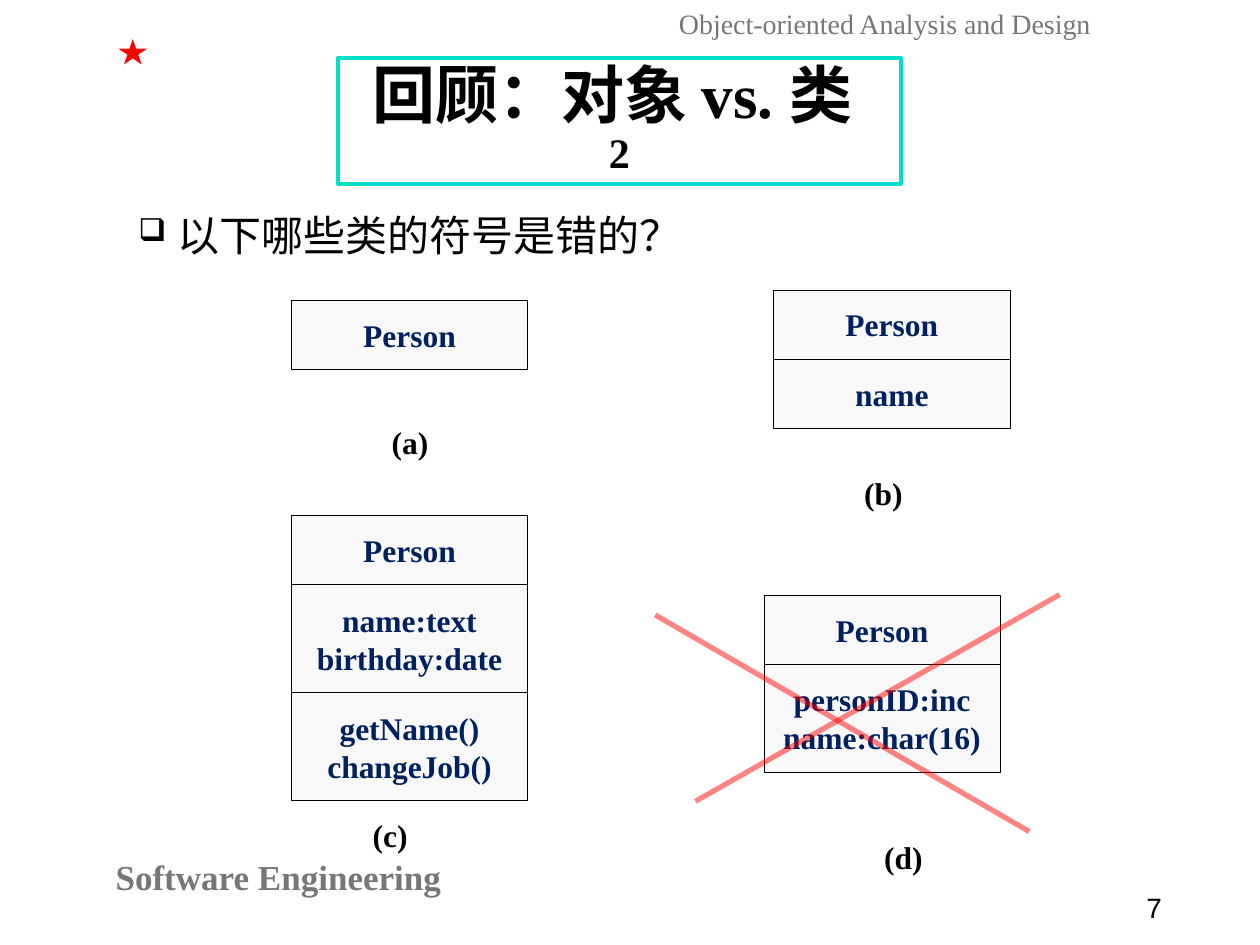
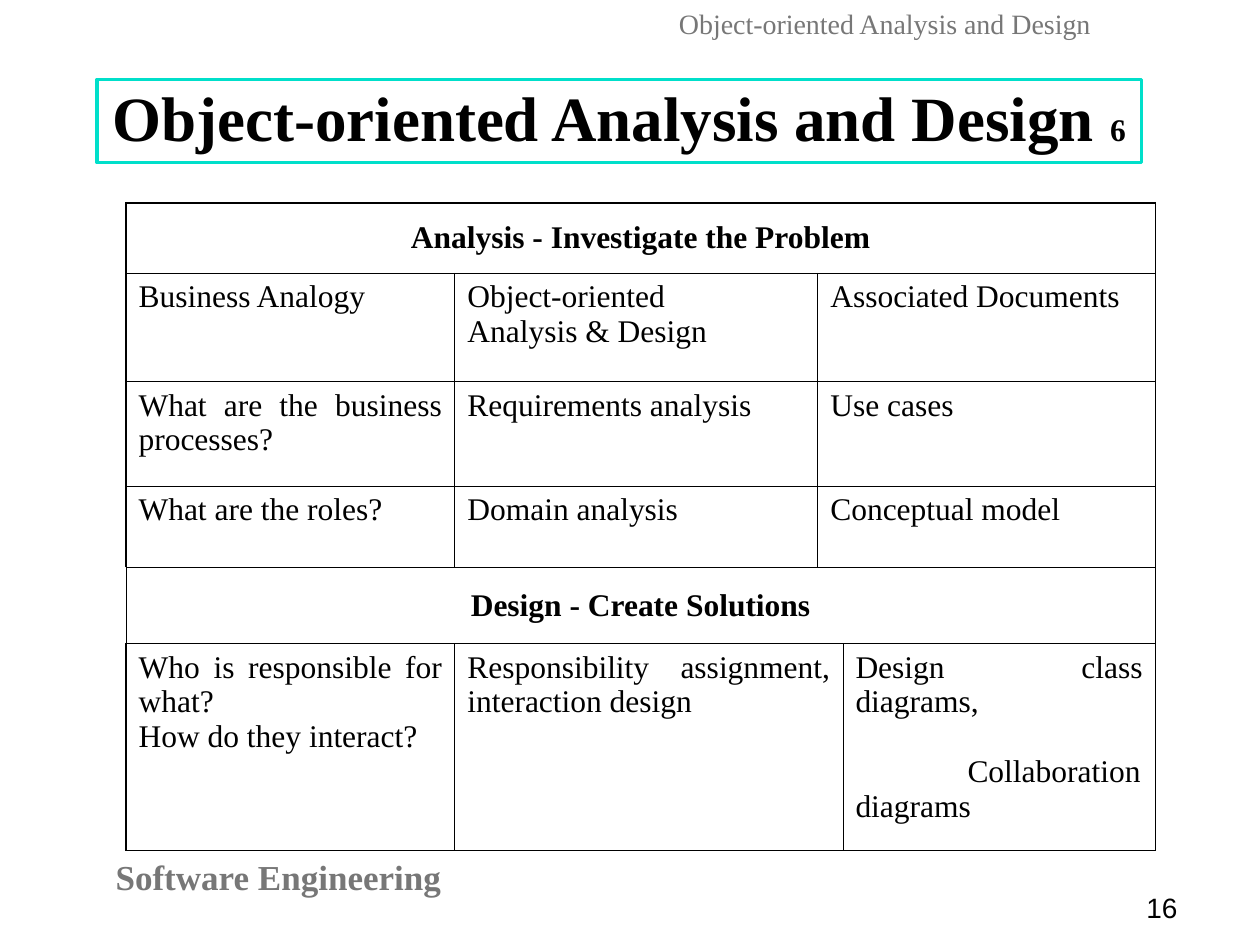
"""Builds two lecture slides on UML class symbols and object-oriented analysis and design."""
from lxml import etree
from pptx import Presentation
from pptx.dml.color import RGBColor
from pptx.enum.shapes import MSO_CONNECTOR, MSO_SHAPE
from pptx.enum.text import MSO_ANCHOR, MSO_AUTO_SIZE, PP_ALIGN
from pptx.oxml.ns import qn
from pptx.util import Pt

LEFT, CENTER, JUSTIFY = PP_ALIGN.LEFT, PP_ALIGN.CENTER, PP_ALIGN.JUSTIFY
TOP, MIDDLE = MSO_ANCHOR.TOP, MSO_ANCHOR.MIDDLE
NO_AUTOFIT = MSO_AUTO_SIZE.NONE
RECTANGLE = MSO_SHAPE.RECTANGLE
STRAIGHT = MSO_CONNECTOR.STRAIGHT

BLACK = RGBColor(0x00, 0x00, 0x00)
WHITE = RGBColor(0xFF, 0xFF, 0xFF)
GRAY = RGBColor(0x77, 0x77, 0x77)
LIGHT_GRAY = RGBColor(0xEA, 0xEA, 0xEA)
NAVY = RGBColor(0x00, 0x20, 0x60)
RED = RGBColor(0xFF, 0x00, 0x00)
TURQUOISE = RGBColor(0x00, 0xDF, 0xCA)

SERIF = "Times New Roman"
BODY = {"name": SERIF, "size": Pt(18), "bold": False, "color": BLACK}
STRONG = {**BODY, "bold": True}
TITLE = {**STRONG, "size": Pt(36)}
QUESTION = {**BODY, "size": Pt(24)}
CLASS_TEXT = {**STRONG, "color": NAVY}
STAR = {**STRONG, "color": RED}
HEADER = {**BODY, "size": Pt(16), "color": GRAY}
FOOTER = {**STRONG, "size": Pt(20), "color": GRAY}
PAGE_NUMBER = {**BODY, "name": "Arial", "size": Pt(16)}


def write(paragraph, text, formats, alignment=LEFT):
    """Append text to a paragraph and format the new runs."""
    paragraph.alignment = alignment
    for index, line in enumerate(text.split("\n")):
        if index:
            paragraph.add_line_break()
        run = paragraph.add_run()
        run.text = line
        for attribute, value in formats.items():
            if attribute == "color":
                run.font.color.rgb = value
            else:
                setattr(run.font, attribute, value)


def set_opacity(shape, percent):
    """Make the first colour of a shape partly transparent."""
    color = shape._element.spPr.find(".//" + qn("a:srgbClr"))
    etree.SubElement(color, qn("a:alpha"), val=str(percent * 1000))


presentation = Presentation()
presentation.slide_width = Pt(720)
presentation.slide_height = Pt(540)

slide_data = [
    {
        "title": ("回顾：对象 vs. 类 \n", "2", Pt(24)),
        "frame": (193, 33.1, 321.8, 72),
        "page": "7",
        "labels": [
            ("(a)", 216.7, 238.3, STRONG),
            ("(b)", 486.7, 267.1, STRONG),
            ("(c)", 205.9, 463, STRONG),
            ("(d)", 498.2, 475.2, STRONG),
            ("★", 59.8, 14.4, STAR),
        ],
    },
    {
        "title": ("Object-oriented Analysis and Design ", "6", Pt(18)),
        "frame": (55.4, 45.4, 596.9, 47.5),
        "page": "16",
        "labels": [],
    },
]

for data in slide_data:
    slide = presentation.slides.add_slide(presentation.slide_layouts[5])
    title = slide.shapes.title
    title.left, title.top, title.width, title.height = map(Pt, data["frame"])
    title.fill.solid()
    title.fill.fore_color.rgb = WHITE
    title.line.color.rgb = TURQUOISE
    title.line.width = Pt(2)
    title.text_frame.auto_size = NO_AUTOFIT
    title.text_frame.vertical_anchor = MIDDLE
    heading, number, number_size = data["title"]
    paragraph = title.text_frame.paragraphs[0]
    paragraph.line_spacing = 0.9
    write(paragraph, heading, TITLE, CENTER)
    write(paragraph, number, {**TITLE, "size": number_size}, CENTER)

    text_boxes = [
        ("Software Engineering", 43.9, 485.3, 230.4, FOOTER, CENTER),
        (data["page"], 648, 505.4, 72, PAGE_NUMBER, LEFT),
        ("Object-oriented Analysis and Design", 380.9, 0, 265, HEADER, LEFT),
    ]
    text_boxes += [(text, left, top, 45, formats, LEFT) for text, left, top, formats in data["labels"]]
    for text, left, top, width, formats, alignment in text_boxes:
        text_box = slide.shapes.add_textbox(Pt(left), Pt(top), Pt(width), Pt(29))
        text_box.text_frame.word_wrap = True
        write(text_box.text_frame.paragraphs[0], text, formats, alignment)

class_slide, table_slide = presentation.slides

question_box = class_slide.shapes.add_textbox(Pt(72), Pt(115.9), Pt(588), Pt(40))
question_box.text_frame.word_wrap = True
paragraph = question_box.text_frame.paragraphs[0]
properties = paragraph._p.get_or_add_pPr()
properties.set("marL", str(Pt(22.5)))
properties.set("indent", str(-Pt(22.5)))
bullet_color = etree.SubElement(properties, qn("a:buClr"))
etree.SubElement(bullet_color, qn("a:srgbClr"), val=str(BLACK))
etree.SubElement(properties, qn("a:buSzPct"), val="75000")
etree.SubElement(properties, qn("a:buChar"), char="❑")
write(paragraph, "以下哪些类的符号是错的？", QUESTION, JUSTIFY)

class_symbols = [
    (166.5, 171.4, ["Person"]),
    (442.1, 165.6, ["Person", "name"]),
    (166.5, 294.5, ["Person", "name:text\nbirthday:date", "getName()\nchangeJob()"]),
    (436.5, 340, ["Person", "personID:inc\nname:char(16)"]),
]
for left, top, compartments in class_symbols:
    for compartment in compartments:
        lines = compartment.split("\n")
        height = 17.2 + 22.3 * len(lines)
        box = class_slide.shapes.add_shape(RECTANGLE, Pt(left), Pt(top), Pt(135), Pt(height))
        box.shadow.inherit = False
        box.fill.solid()
        box.fill.fore_color.rgb = LIGHT_GRAY
        set_opacity(box, 33)
        box.line.color.rgb = BLACK
        box.line.width = Pt(0.25)
        box.text_frame.vertical_anchor = MIDDLE
        for index, line in enumerate(lines):
            paragraph = box.text_frame.add_paragraph() if index else box.text_frame.paragraphs[0]
            write(paragraph, line, CLASS_TEXT, CENTER)
        top += height

for ends in [(374.4, 351.4, 588.2, 475.2), (397.4, 457.9, 605.5, 339.8)]:
    cross_line = class_slide.shapes.add_connector(STRAIGHT, *map(Pt, ends))
    cross_line.line.color.rgb = RED
    cross_line.line.width = Pt(3)
    set_opacity(cross_line, 48)
    etree.SubElement(cross_line._element.spPr, qn("a:effectLst"))

column_widths = [187.9, 207.4, 14.4, 178.6]
row_heights = [40.3, 61.9, 59.8, 46.1, 43.9, 118.1]
table_rows = [
    {0: "Analysis - Investigate the Problem"},
    {0: "Business Analogy", 1: "Object-oriented\nAnalysis & Design", 2: "Associated Documents"},
    {0: "What are the business processes?", 1: "Requirements analysis", 2: "Use cases"},
    {0: "What are the roles?", 1: "Domain analysis", 2: "Conceptual model"},
    {0: "Design - Create Solutions"},
    {
        0: "Who is responsible for what?\nHow do they interact?",
        1: "Responsibility assignment, interaction design",
        3: "Design class diagrams,",
    },
]
last_row, last_column = len(row_heights) - 1, len(column_widths) - 1
table = table_slide.shapes.add_table(
    len(row_heights), len(column_widths), Pt(72), Pt(115.9), Pt(sum(column_widths)), Pt(sum(row_heights))
).table
table.first_row = table.horz_banding = False
for column, width in zip(table.columns, column_widths):
    column.width = Pt(width)
for row, height in zip(table.rows, row_heights):
    row.height = Pt(height)

for row_index, row_texts in enumerate(table_rows):
    is_band = len(row_texts) == 1
    for column_index in range(len(column_widths)):
        cell = table.cell(row_index, column_index)
        thick_sides = {
            "a:lnL": column_index == 0 and row_index != 4,
            "a:lnR": column_index == last_column and row_index != 4,
            "a:lnT": row_index == 0,
            "a:lnB": row_index == last_row,
        }
        cell_properties = cell._tc.get_or_add_tcPr()
        for side, is_thick in thick_sides.items():
            border = etree.SubElement(cell_properties, qn(side), w=str(Pt(1.08 if is_thick else 0.45)))
            border_fill = etree.SubElement(border, qn("a:solidFill"))
            etree.SubElement(border_fill, qn("a:srgbClr"), val=str(BLACK))
        cell.fill.background()
        cell.margin_left = cell.margin_right = Pt(7.2)
        cell.margin_top = cell.margin_bottom = Pt(3.6)
        cell.vertical_anchor = MIDDLE if is_band else TOP
    starts = list(row_texts)
    for start, following in zip(starts, starts[1:] + [len(column_widths)]):
        cell = table.cell(row_index, start)
        if following - start > 1:
            cell.merge(table.cell(row_index, following - 1))
        formats, alignment = (STRONG, CENTER) if is_band else (BODY, JUSTIFY)
        write(cell.text_frame.paragraphs[0], row_texts[start], formats, alignment)

paragraph = table.cell(last_row, last_column).text_frame.add_paragraph()
paragraph.space_before = Pt(20)
paragraph._p.get_or_add_pPr().set("indent", str(Pt(64)))
write(paragraph, "Collaboration diagrams", BODY, JUSTIFY)

presentation.save("out.pptx")
